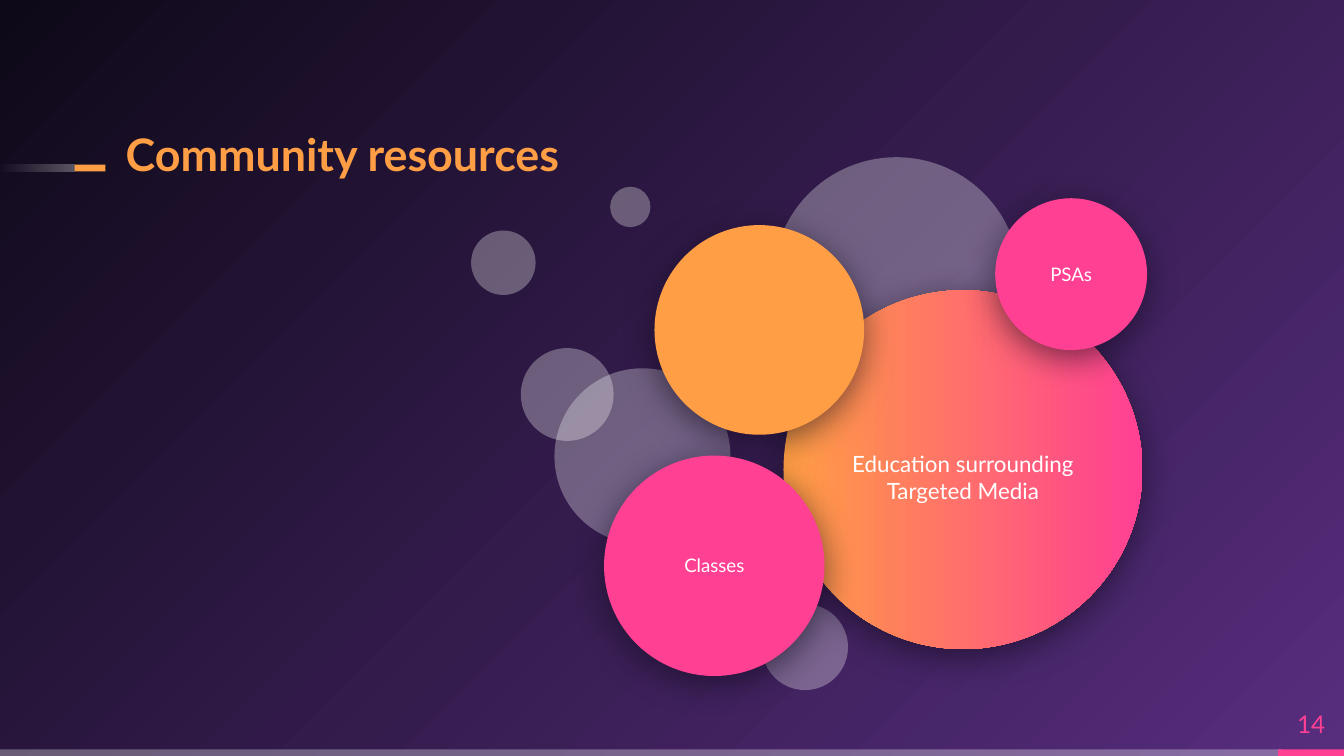
"""Build the community resources slide: a cluster of labelled circles."""
from dataclasses import dataclass
from typing import NamedTuple, Optional

from lxml.etree import SubElement
from pptx import Presentation
from pptx.dml.color import RGBColor
from pptx.enum.shapes import MSO_SHAPE
from pptx.enum.text import MSO_ANCHOR, MSO_AUTO_SIZE, PP_ALIGN
from pptx.oxml.ns import qn
from pptx.util import Inches, Pt


@dataclass(frozen=True)
class Theme:
    orange: str = "FF9E44"
    pink: str = "FF4093"
    white: str = "FFFFFF"
    violet: str = "572D7E"
    night: str = "0E0918"
    font: str = "Lato"
    title_size: int = 24
    number_size: int = 13
    lead_size: int = 12
    label_size: int = 10
    veil: int = 30
    shadow_alpha: int = 55
    shadow_blur: int = 18
    shadow_distance: int = 4


class Box(NamedTuple):
    column: float
    row: float
    columns: float
    rows: float


class Paint(NamedTuple):
    colors: tuple
    alphas: tuple = (100, 100)
    angle: int = 0


class Circle(NamedTuple):
    center_column: float
    center_row: float
    diameter: float

    def box(self) -> Box:
        radius = self.diameter / 2
        return Box(self.center_column - radius, self.center_row - radius,
                   self.diameter, self.diameter)


class Label(NamedTuple):
    text: str
    box: Box
    size: int


class Bubble(NamedTuple):
    circle: Circle
    paint: Paint
    label: Optional[Label] = None


THEME = Theme()
SLIDE_WIDTH = Inches(10)
SLIDE_HEIGHT = SLIDE_WIDTH * 9 // 16
CELL = SLIDE_WIDTH / 100
VEIL = Paint((THEME.white,), (THEME.veil,))
ORANGE = Paint((THEME.orange,))
PINK = Paint((THEME.pink,))

FOOTER_BARS = [
    (Box(0, 55.75, 95.4, 0.5), VEIL),
    (Box(95.1, 55.75, 4.9, 0.5), PINK),
]
TITLE_DASH = [
    (Box(0, 12.25, 5.55, 0.5), Paint((THEME.white, THEME.white), (THEME.veil, 0), 180)),
    (Box(5.55, 12.25, 2.3, 0.5), ORANGE),
]
HALOS = [
    Circle(59.9, 48.15, 6.4),
    Circle(37.45, 19.55, 4.8),
    Circle(47.8, 33.95, 13.1),
    Circle(66.7, 20.9, 18.4),
    Circle(42.2, 29.35, 6.9),
    Circle(46.9, 15.4, 3),
]
BUBBLES = [
    Bubble(Circle(71.65, 34.95, 26.7), Paint((THEME.orange, THEME.pink)),
           Label("Education surrounding Targeted Media",
                 Box(61.45, 29.15, 20.4, 12.7), THEME.lead_size)),
    Bubble(Circle(56.5, 24.55, 15.6), ORANGE),
    Bubble(Circle(53.15, 42.1, 16.4), PINK,
           Label("Classes", Box(47.3, 36.9, 11.7, 10.3), THEME.label_size)),
    Bubble(Circle(79.7, 20.4, 11.3), PINK,
           Label("PSAs", Box(75.85, 16.65, 7.7, 7.5), THEME.label_size)),
]


def place(box: Box) -> list[int]:
    """Turn grid cells into slide lengths."""
    return [round(cells * CELL) for cells in box]


def apply(target: object, formats: dict) -> None:
    """Set each format value on the target."""
    for name, value in formats.items():
        setattr(target, name, value)


def draw_shape(shapes, kind: MSO_SHAPE, box: Box, paint: Paint):
    """Draw a borderless preset shape in a solid or gradient paint."""
    shape = shapes.add_shape(kind, *place(box))
    shape.shadow.inherit = False
    shape.line.fill.background()
    if len(paint.colors) == 1:
        shape.fill.solid()
        tones = [shape.fill.fore_color]
    else:
        shape.fill.gradient()
        shape.fill.gradient_angle = paint.angle
        tones = [stop.color for stop in shape.fill.gradient_stops]
    for tone, color in zip(tones, paint.colors):
        tone.rgb = RGBColor.from_string(color)
    for tone, alpha in zip(shape.element.spPr.iter(qn("a:srgbClr")), paint.alphas):
        if alpha < 100:
            SubElement(tone, qn("a:alpha"), val=str(alpha * 1000))
    return shape


def cast_shadow(shape) -> None:
    """Add a soft shadow straight below a shape."""
    effects = shape.element.spPr.find(qn("a:effectLst"))
    shadow = SubElement(effects, qn("a:outerShdw"), blurRad=str(Pt(THEME.shadow_blur)),
                        dist=str(Pt(THEME.shadow_distance)), dir="5400000",
                        algn="bl", rotWithShape="0")
    tone = SubElement(shadow, qn("a:srgbClr"), val=THEME.night)
    SubElement(tone, qn("a:alpha"), val=str(THEME.shadow_alpha * 1000))


def write(holder, text: str, size: int, color: str, inset: float = 0,
          anchor=MSO_ANCHOR.MIDDLE, align=PP_ALIGN.CENTER,
          bold: bool = False, spacing: float = 1.0) -> None:
    """Write one formatted paragraph into a shape."""
    frame = holder.text_frame
    margins = ("margin_left", "margin_top", "margin_right", "margin_bottom")
    apply(frame, dict.fromkeys(margins, round(inset * CELL)))
    apply(frame, {"word_wrap": True, "auto_size": MSO_AUTO_SIZE.NONE,
                  "vertical_anchor": anchor})
    paragraph = frame.paragraphs[0]
    apply(paragraph, {"alignment": align, "line_spacing": spacing})
    run = paragraph.add_run()
    run.text = text
    apply(run.font, {"name": THEME.font, "size": Pt(size), "bold": bold})
    run.font.color.rgb = RGBColor.from_string(color)


def paint_background(slide) -> None:
    """Spread a radial gradient from the bottom right corner."""
    fill = slide.background.fill
    fill.gradient()
    for stop, color in zip(fill.gradient_stops, (THEME.violet, THEME.night)):
        stop.color.rgb = RGBColor.from_string(color)
    gradient = slide.element.find(".//" + qn("a:gradFill"))
    gradient.remove(gradient.find(qn("a:lin")))
    radial = SubElement(gradient, qn("a:path"), path="circle")
    SubElement(radial, qn("a:fillToRect"), l="100000", t="100000")


def draw_bubble(shapes, bubble: Bubble) -> None:
    """Draw a shadowed circle and its label."""
    cast_shadow(draw_shape(shapes, MSO_SHAPE.OVAL, bubble.circle.box(), bubble.paint))
    if bubble.label:
        caption = shapes.add_textbox(*place(bubble.label.box))
        write(caption, bubble.label.text, bubble.label.size, THEME.white, inset=1)


def main() -> None:
    """Assemble and save the slide."""
    deck = Presentation()
    apply(deck, {"slide_width": SLIDE_WIDTH, "slide_height": SLIDE_HEIGHT})
    slide = deck.slides.add_slide(deck.slide_layouts.get_by_name("Title Only"))
    shapes = slide.shapes
    paint_background(slide)

    title = shapes.title
    apply(title, dict(zip(("left", "top", "width", "height"),
                          place(Box(9.35, 9.15, 58, 4.3)))))
    write(title, "Community resources", THEME.title_size, THEME.orange,
          anchor=MSO_ANCHOR.BOTTOM, align=PP_ALIGN.LEFT, bold=True, spacing=0.9)

    for owner, bars in ((shapes, FOOTER_BARS),
                        (shapes.add_group_shape().shapes, TITLE_DASH)):
        for box, paint in bars:
            draw_shape(owner, MSO_SHAPE.RECTANGLE, box, paint)
    page_number = shapes.add_textbox(*place(Box(95.1, 51.95, 4.9, 3.8)))
    write(page_number, "14", THEME.number_size, THEME.pink)

    halo_group = shapes.add_group_shape().shapes
    for halo in HALOS:
        draw_shape(halo_group, MSO_SHAPE.OVAL, halo.box(), VEIL)
    for bubble in BUBBLES:
        draw_bubble(shapes, bubble)
    deck.save("out.pptx")


if __name__ == "__main__":
    main()
